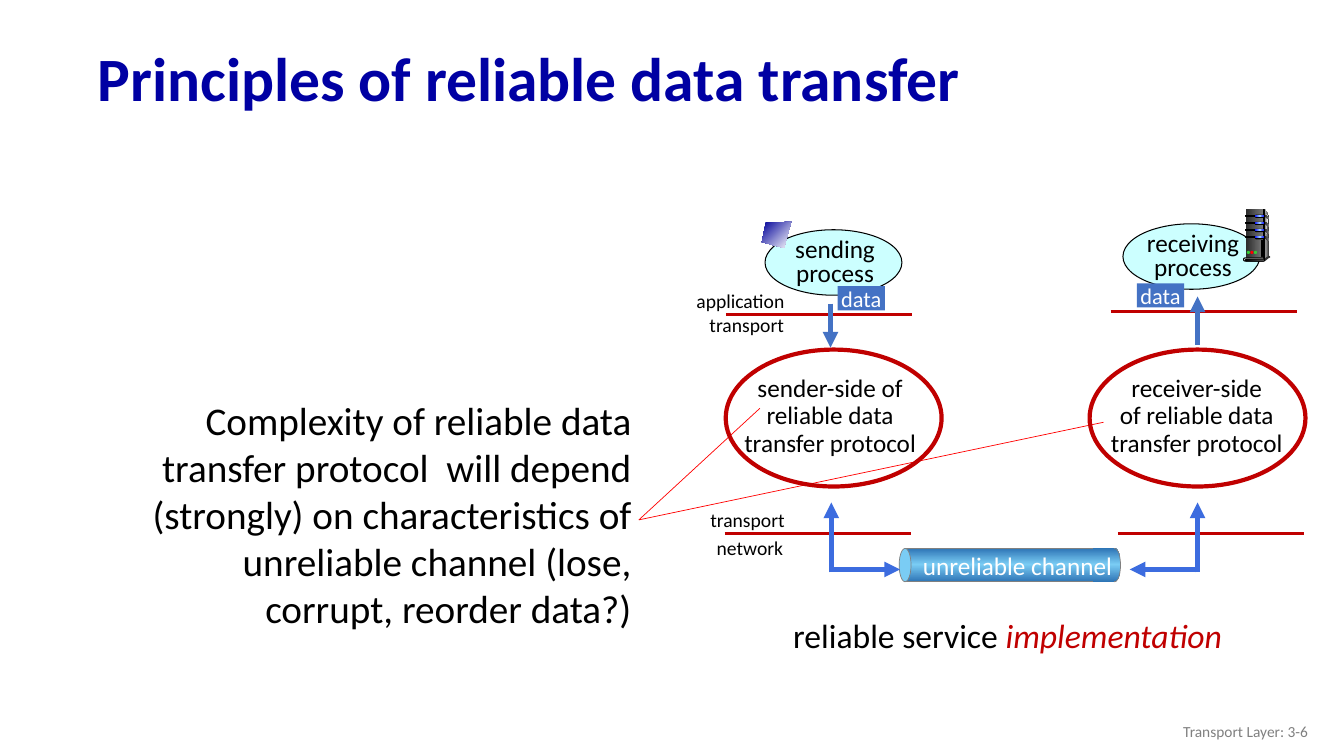
"""Builds the slide on the principles of reliable data transfer."""
from pptx import Presentation
from pptx.dml.color import RGBColor
from pptx.enum import shapes, text
from pptx.oxml import parse_xml
from pptx.oxml.ns import nsdecls
from pptx.util import Cm, Pt

KIND = shapes.MSO_SHAPE
RED, BLUE, DARK, SKY = "C00000", "4472C4", "2E75B6", "7ACCF4"
LEFT, MID, RIGHT = text.PP_ALIGN.LEFT, text.PP_ALIGN.CENTER, text.PP_ALIGN.RIGHT
CENTRE = text.MSO_ANCHOR.MIDDLE


def rgb(code):
    return RGBColor.from_string(code)


def fade(angle, *stops):
    return angle, stops


class Board:
    """Holds the style and the current slide."""

    font = "Calibri"

    def __init__(self, slide):
        self.items = slide.shapes

    def paint(self, shape, fill, line, width):
        if fill is None:
            shape.fill.background()
        elif isinstance(fill, str):
            shape.fill.solid()
            shape.fill.fore_color.rgb = rgb(fill)
        else:
            angle, stops = fill
            marks = "".join(
                f'<a:gs pos="{pos * 1000}"><a:srgbClr val="{code}"/></a:gs>'
                for pos, code in stops)
            shape._element.spPr.append(parse_xml(
                f'<a:gradFill {nsdecls("a")} rotWithShape="1"><a:gsLst>{marks}</a:gsLst>'
                f'<a:lin ang="{angle * 60000}" scaled="0"/></a:gradFill>'))
        if line:
            shape.line.color.rgb = rgb(line)
            shape.line.width = Pt(width)
        else:
            shape.line.fill.background()
        shape.shadow.inherit = False
        return shape

    def shape(self, kind, x, y, w, h, fill=None, line=None, width=0.75):
        item = self.items.add_shape(kind, Cm(x), Cm(y), Cm(w), Cm(h))
        if kind == KIND.ROUNDED_RECTANGLE:
            item.adjustments[0] = 0.5
        return self.paint(item, fill, line, width)

    def poly(self, points, fill):
        spots = [(Cm(x), Cm(y)) for x, y in points]
        pen = self.items.build_freeform(*spots[0])
        pen.add_line_segments(spots[1:], close=True)
        return self.paint(pen.convert_to_shape(), fill, None, 0)

    def line(self, x1, y1, x2, y2, color=RED, width=1.75, arrow=False):
        item = self.items.add_connector(
            shapes.MSO_CONNECTOR.STRAIGHT, Cm(x1), Cm(y1), Cm(x2), Cm(y2))
        item.line.color.rgb = rgb(color)
        item.line.width = Pt(width)
        if arrow:
            item.line._get_or_add_ln().append(
                parse_xml(f'<a:tailEnd {nsdecls("a")} type="triangle"/>'))
        item._element.spPr.append(parse_xml(f'<a:effectLst {nsdecls("a")}/>'))

    def style(self, para, words, size, color="000000", align=LEFT, space=None, bold=None):
        para.text = words
        para.alignment = align
        para.line_spacing = space
        font = para.font
        font.name, font.size, font.bold = self.font, Pt(size), bold
        font.color.rgb = rgb(color)

    def text(self, x, y, w, h, words, size, anchor=None, wrap=True, **look):
        frame = self.items.add_textbox(Cm(x), Cm(y), Cm(w), Cm(h)).text_frame
        frame.word_wrap = wrap
        frame.vertical_anchor = anchor
        for i, part in enumerate(words.split("\n")):
            para = frame.add_paragraph() if i else frame.paragraphs[0]
            self.style(para, part, size, **look)
        return frame

    def process(self, x, y, words, dx, dy):
        self.shape(KIND.OVAL, x, y, 3.45, 1.65, "CCFFFF", "000000")
        self.text(x + 0.23, y + 0.1, 3.07, 1.5, words, 18, align=MID, space=0.8)
        frame = self.shape(KIND.RECTANGLE, x + dx, y + dy, 1.19, 0.61, BLUE).text_frame
        frame.margin_left = frame.margin_right = frame.margin_top = frame.margin_bottom = 0
        frame.word_wrap = False
        frame.vertical_anchor = CENTRE
        self.style(frame.paragraphs[0], "data", 16, "FFFFFF", MID)

    def server(self, x, y):
        box, pill, dot = KIND.RECTANGLE, KIND.ROUNDED_RECTANGLE, KIND.OVAL
        metal = fade(0, (0, "292929"), (100, "808080"))
        edge = x + 0.49
        far = edge + 0.1
        self.poly([(edge, y), (far, y + 0.16), (far, y + 1.2), (edge - 0.03, y + 1.25)],
                  fade(0, (0, "DDDDDD"), (100, "333333")))
        self.shape(box, x, y, 0.48, 1.24, metal)
        self.poly([(edge, y + 0.08), (edge + 0.07, y + 0.18), (edge + 0.02, y + 0.67),
                   (edge, y + 1.2)], fade(0, (0, "808080"), (100, "F8F8F8")))
        self.shape(box, edge - 0.03, y, 0.03, 1.24,
                   fade(0, (0, "333333"), (50, "DDDDDD"), (100, "333333")), "000000")
        for row in range(4):
            top = y + 0.13 + 0.18 * row
            self.shape(box, x, top + 0.02, 0.28, 0.02, "000000", "000000")
            self.shape(pill, x + 0.23, top, 0.25, 0.08, "000000")
            self.shape(pill, x + 0.23, top, 0.25, 0.06,
                       fade(0, (0, "0000FF"), (50, "99CCFF"), (100, "0000FF")))
            self.poly([(edge, top), (far, top + 0.07), (far, top + 0.12), (edge, top + 0.05)],
                      metal)
        self.shape(dot, far, y + 1.17, 0.03, 0.05, "333333")
        self.poly([(edge, y + 1.22), (edge, y + 1.3), (far, y + 1.22), (far, y + 1.17)],
                  "333333")
        self.shape(pill, x - 0.05, y + 1.22, 0.53, 0.08, "DDDDDD", "000000")
        self.shape(pill, x, y + 1.25, 0.48, 0.05,
                   fade(0, (0, "000000"), (100, "808080")), "000000")
        for i, color in enumerate(("33CC33", "FF0000", "33CC33")):
            self.shape(dot, x + 0.03 + 0.09 * i, y + 1.04, 0.08, 0.08, color)
        self.shape(box, x + 0.39, y + 0.77, 0.05, 0.41, "292929", "000000")

    def channel(self, x, y, h):
        pipe = fade(270, (0, DARK), (52, SKY), (100, DARK))
        self.shape(KIND.RECTANGLE, x + 0.15, y, 5.26, h, pipe, "808080", 0.5)
        self.shape(KIND.OVAL, x, y, 0.3, h, SKY, "808080", 0.5)
        self.shape(KIND.OVAL, x + 5.28, y, 0.3, h, pipe, "808080", 0.5)
        self.shape(KIND.RECTANGLE, x + 4.88, y, 0.53, h, pipe)
        self.text(x + 0.35, y - 0.08, 5.33, 1.02, "unreliable channel", 18,
                  wrap=False, color="FFFFFF")


def main():
    deck = Presentation()
    deck.slide_width, deck.slide_height = Cm(33.87), Cm(19.05)
    board = Board(deck.slides.add_slide(deck.slide_layouts[6]))

    board.text(2.21, 0.81, 30.84, 2.49, "Principles of reliable data transfer", 44,
               CENTRE, color="0000A3", space=0.9, bold=True)
    board.process(19.28, 5.79, "sending process", 1.83, 1.42)
    board.poly([(19.94, 5.59), (19.3, 5.61), (19.2, 6.1), (19.76, 6.25)],
               fade(45, (0, "000099"), (100, "FFFFFF")))
    board.process(28.3, 5.64, "receiving process", 0.35, 1.5)
    board.server(31.39, 5.28)

    for x, y in ((18.29, 7.92), (27.99, 7.85), (18.26, 13.44), (28.17, 13.44)):
        board.line(x, y, x + 4.7, y)
    for x, y, w, word in ((17.3, 7.16, 2.77, "application"), (17.63, 7.77, 2.41, "transport"),
                          (17.65, 12.67, 2.41, "transport"), (17.81, 13.39, 2.21, "network")):
        board.text(x, y, w, 0.86, word, 14, wrap=False)

    para = board.text(19.74, 15.37, 12.93, 1.27, "reliable service ", 24).paragraphs[0]
    run = para.add_run()
    run.text = "implementation"
    run.font.italic = True
    run.font.color.rgb = rgb(RED)

    board.channel(22.66, 13.82, 0.84)
    board.line(20.93, 7.65, 20.93, 8.76, BLUE, 3.75, True)
    board.line(30.18, 8.69, 30.18, 7.47, BLUE, 3.75, True)
    for x, words in ((18.29, "sender-side of\nreliable data transfer protocol"),
                     (27.53, "receiver-side\nof reliable data transfer protocol")):
        board.text(x, 9.35, 5.26, 2.34, words, 18, align=MID, space=0.9)
    for x, end, start in ((20.95, 22.68, 20.93), (30.18, 28.47, 30.23)):
        board.line(x, 14.42, x, 12.66, "3C6CDF", 3.75, True)
        board.line(start, 14.35, end, 14.35, "3C6CDF", 3.75, True)

    board.text(2.77, 9.86, 13.39, 6.25,
               "Complexity of reliable data transfer protocol  will depend (strongly) on "
               "characteristics of unreliable channel (lose, corrupt, reorder data?)",
               28, align=RIGHT)
    for x, y in ((19.15, 10.29), (27.81, 10.64)):
        board.line(x, y, 16.1, 13.1, "FF0000", 0.5)
    for x in (18.29, 27.46):
        board.shape(KIND.OVAL, x, 8.81, 5.44, 3.45, None, RED, 3)
    board.text(25.6, 17.91, 7.62, 1.02, "Transport Layer: 3-6", 11, CENTRE,
               color="808080", align=RIGHT)
    deck.save("out.pptx")


if __name__ == "__main__":
    main()
